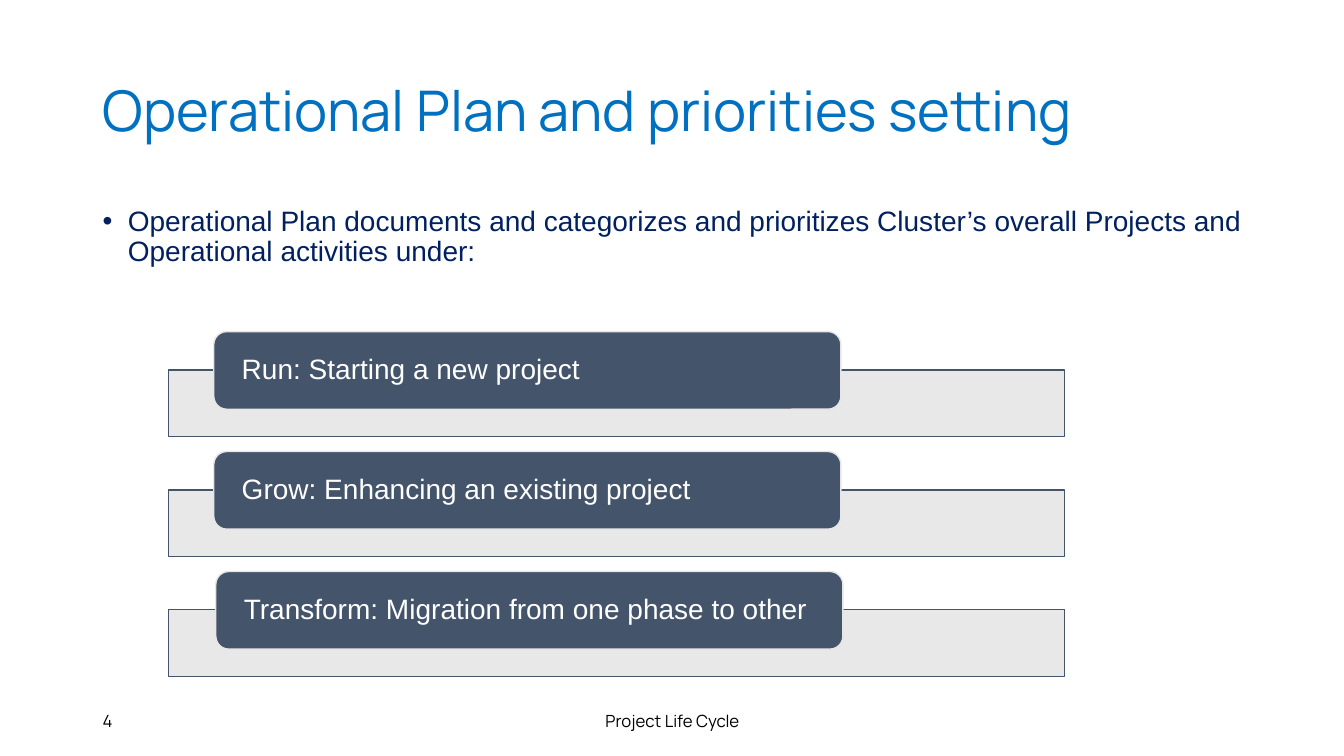
import pptx
import pptx.dml.color
import pptx.enum.shapes
import pptx.enum.text
import pptx.oxml.ns
import pptx.util
from lxml import etree

RGBColor = pptx.dml.color.RGBColor
ALIGN = pptx.enum.text.PP_ALIGN
ANCHOR = pptx.enum.text.MSO_ANCHOR
SHAPE = pptx.enum.shapes.MSO_SHAPE

TITLE_BLUE = RGBColor(0x00, 0x70, 0xC0)
NAVY = RGBColor(0x00, 0x20, 0x60)
SLATE = RGBColor(0x44, 0x54, 0x6A)
LIGHT_GREY = RGBColor(0xE7, 0xE6, 0xE6)
WHITE = RGBColor(0xFF, 0xFF, 0xFF)
BLACK = RGBColor(0x00, 0x00, 0x00)

EMU_PER_PX = 9144  # 100 px to the inch
HEADING_FONT = "Manrope"
BODY_FONT = "Arial"

CATEGORIES = [
    ("Run: Starting a new project", 212),
    ("Grow: Enhancing an existing project", 212),
    ("Transform: Migration from one phase to other", 214),
]
BAR_TOP = 367
BAR_PITCH = 119
LABEL_RISE = 38


def px(length):
    return pptx.util.Emu(length * EMU_PER_PX)


class SlideBuilder:
    def __init__(self, deck):
        self.slide = deck.slides.add_slide(deck.slide_layouts[6])

    def fill_text(self, shape, text, size, font, color, align=ALIGN.LEFT,
                  anchor=ANCHOR.MIDDLE, line_spacing=0.9):
        frame = shape.text_frame
        frame.word_wrap = True
        frame.vertical_anchor = anchor
        para = frame.paragraphs[0]
        para.alignment = align
        para.line_spacing = line_spacing
        span = para.add_run()
        span.text = text
        span.font.size = pptx.util.Pt(size)
        span.font.name = font
        span.font.color.rgb = color
        return para

    def text(self, at, *content, **style):
        box = self.slide.shapes.add_textbox(*map(px, at))
        return self.fill_text(box, *content, **style)

    def bullet(self, at, *content):
        para = self.text(at, *content, anchor=ANCHOR.TOP)
        para.space_before = pptx.util.Pt(10)
        properties = para._p.get_or_add_pPr()
        properties.set("marL", str(px(25)))
        properties.set("indent", str(px(-25)))
        qn = pptx.oxml.ns.qn
        etree.SubElement(properties, qn("a:buFont")).set("typeface", BODY_FONT)
        etree.SubElement(properties, qn("a:buChar")).set("char", "•")

    def panel(self, kind, at, fill, line):
        shape = self.slide.shapes.add_shape(kind, *map(px, at))
        shape.shadow.inherit = False
        shape.fill.solid()
        shape.fill.fore_color.rgb = fill
        shape.line.color.rgb = line
        shape.line.width = pptx.util.Pt(1)
        return shape

    def bar(self, at):
        shape = self.panel(SHAPE.RECTANGLE, at, LIGHT_GREY, SLATE)
        qn = pptx.oxml.ns.qn
        color = shape._element.spPr.find(qn("a:solidFill")).find(qn("a:srgbClr"))
        etree.SubElement(color, qn("a:alpha")).set("val", "90000")

    def label(self, at, text):
        shape = self.panel(SHAPE.ROUNDED_RECTANGLE, at, SLATE, LIGHT_GREY)
        frame = shape.text_frame
        frame.margin_left = frame.margin_right = px(24)
        frame.margin_top = frame.margin_bottom = 0
        self.fill_text(shape, text, 20, BODY_FONT, WHITE)


def main():
    deck = pptx.Presentation()
    deck.slide_width, deck.slide_height = px(1333), px(750)
    page = SlideBuilder(deck)

    page.text((92, 40, 1150, 145), "Operational Plan and priorities setting",
              40, HEADING_FONT, TITLE_BLUE)
    page.bullet((92, 201, 1150, 516),
                "Operational Plan documents and categorizes and prioritizes "
                "Cluster’s overall Projects and Operational activities under:",
                20, BODY_FONT, NAVY)

    for row, (text, label_left) in enumerate(CATEGORIES):
        top = BAR_TOP + row * BAR_PITCH
        page.bar((167, top, 889, 66))
        page.label((label_left, top - LABEL_RISE, 622, 77), text)

    page.text((442, 695, 450, 40), "Project Life Cycle", 12, HEADING_FONT,
              BLACK, align=ALIGN.CENTER, line_spacing=1.0)
    page.text((92, 695, 300, 40), "4", 12, HEADING_FONT, BLACK, line_spacing=1.0)

    deck.save("out.pptx")


if __name__ == "__main__":
    main()
